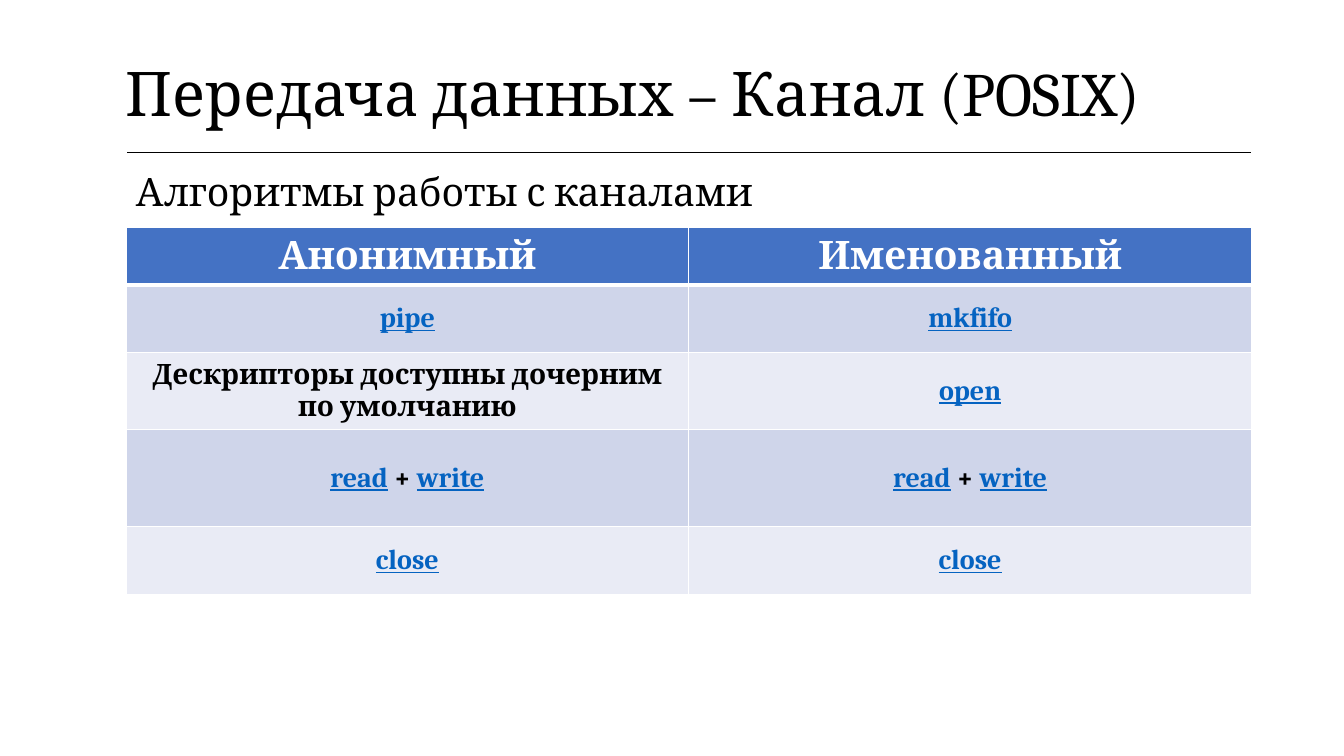
from lxml import etree
from pptx import Presentation
from pptx.dml.color import RGBColor
from pptx.enum import text as t
from pptx.oxml import ns
from pptx.util import Pt

FONT = "Cambria"
BLACK = RGBColor(0x00, 0x00, 0x00)
WHITE = RGBColor(0xFF, 0xFF, 0xFF)
HEADER_BLUE = RGBColor(0x44, 0x72, 0xC4)
BAND_DARK = RGBColor(0xCF, 0xD5, 0xEA)
BAND_LIGHT = RGBColor(0xE9, 0xEB, 0xF5)
CALL_BLUE = RGBColor(0x05, 0x63, 0xC1)

LEFT, WIDTH = Pt(90), Pt(804)
TITLE_TOP, TITLE_HEIGHT = Pt(28.8), Pt(80)
SUBTITLE_TOP, SUBTITLE_HEIGHT = Pt(119.5), Pt(343)
STEPS_TOP = Pt(162.7)
ROW_HEIGHTS = [Pt(h) for h in (39.5, 48.2, 53.2, 69.2, 48.2)]

HEADERS = ("Анонимный", "Именованный")
CALLS = {"pipe", "mkfifo", "open", "read", "write", "close"}
READ_WRITE = ("read", " + ", "write")
STEPS = (
    (("pipe",), ("mkfifo",)),
    (("Дескрипторы доступны дочерним по умолчанию",), ("open",)),
    (READ_WRITE, READ_WRITE),
    (("close",), ("close",)),
)


def set_font(font, size, color, bold=False):
    font.name = FONT
    font.size = Pt(size)
    font.color.rgb = color
    font.bold = bold


def add_plain_table(slide, top, row_heights, columns):
    """Add a full-width table with the style's header and banding turned off."""
    table = slide.shapes.add_table(
        len(row_heights), columns, LEFT, top, WIDTH, sum(row_heights)).table
    table.first_row = table.horz_banding = False
    for row, height in zip(table.rows, row_heights):
        row.height = height
    return table


def add_border(cell, side, color, width):
    """Draw one cell edge; call in the order L, R, T, B and before filling."""
    properties = cell._tc.get_or_add_tcPr()
    line = etree.SubElement(properties, ns.qn(f"a:ln{side}"), w=str(Pt(width)))
    fill = etree.SubElement(line, ns.qn("a:solidFill"))
    etree.SubElement(fill, ns.qn("a:srgbClr"), val=str(color))


def add_title(slide, title):
    cell = add_plain_table(slide, TITLE_TOP, [TITLE_HEIGHT], 1).cell(0, 0)
    add_border(cell, "B", BLACK, 1)
    cell.fill.background()
    cell.margin_left = cell.margin_right = 0
    cell.margin_top = cell.margin_bottom = 0
    cell.vertical_anchor = t.MSO_ANCHOR.MIDDLE
    cell.text = title
    set_font(cell.text_frame.paragraphs[0].font, 44, BLACK)


def add_subtitle(slide, subtitle):
    frame = slide.shapes.add_textbox(
        LEFT, SUBTITLE_TOP, WIDTH, SUBTITLE_HEIGHT).text_frame
    frame.word_wrap = True
    paragraph = frame.paragraphs[0]
    paragraph.text = subtitle
    paragraph.line_spacing = 0.9
    paragraph.space_before = Pt(10)
    set_font(paragraph.font, 28, BLACK)


def style_cell(cell, fill, top_width, bottom_width):
    """Frame, fill and centre a cell; return its paragraph."""
    for side, width in zip("LRTB", (1, 1, top_width, bottom_width)):
        add_border(cell, side, WHITE, width)
    cell.fill.solid()
    cell.fill.fore_color.rgb = fill
    cell.vertical_anchor = t.MSO_ANCHOR.MIDDLE
    paragraph = cell.text_frame.paragraphs[0]
    paragraph.alignment = t.PP_ALIGN.CENTER
    return paragraph


def write_step(paragraph, parts):
    """Write the parts of a step, underlining system calls."""
    for part in parts:
        run = paragraph.add_run()
        run.text = part
        is_call = part in CALLS
        set_font(run.font, 20, CALL_BLUE if is_call else BLACK, bold=True)
        run.font.underline = is_call


def add_steps(slide):
    table = add_plain_table(slide, STEPS_TOP, ROW_HEIGHTS, len(HEADERS))
    for column, header in enumerate(HEADERS):
        paragraph = style_cell(table.cell(0, column), HEADER_BLUE, 1, 3)
        paragraph.text = header
        set_font(paragraph.font, 28, WHITE, bold=True)
    for row, step in enumerate(STEPS, start=1):
        band = BAND_DARK if row % 2 else BAND_LIGHT
        for column, parts in enumerate(step):
            top_width = 3 if row == 1 else 1
            paragraph = style_cell(table.cell(row, column), band, top_width, 1)
            write_step(paragraph, parts)


def main():
    deck = Presentation()
    deck.slide_width, deck.slide_height = Pt(960), Pt(540)
    slide = deck.slides.add_slide(deck.slide_layouts[6])
    add_title(slide, "Передача данных – Канал (POSIX)")
    add_subtitle(slide, "Алгоритмы работы с каналами")
    add_steps(slide)
    deck.save("out.pptx")


if __name__ == "__main__":
    main()
